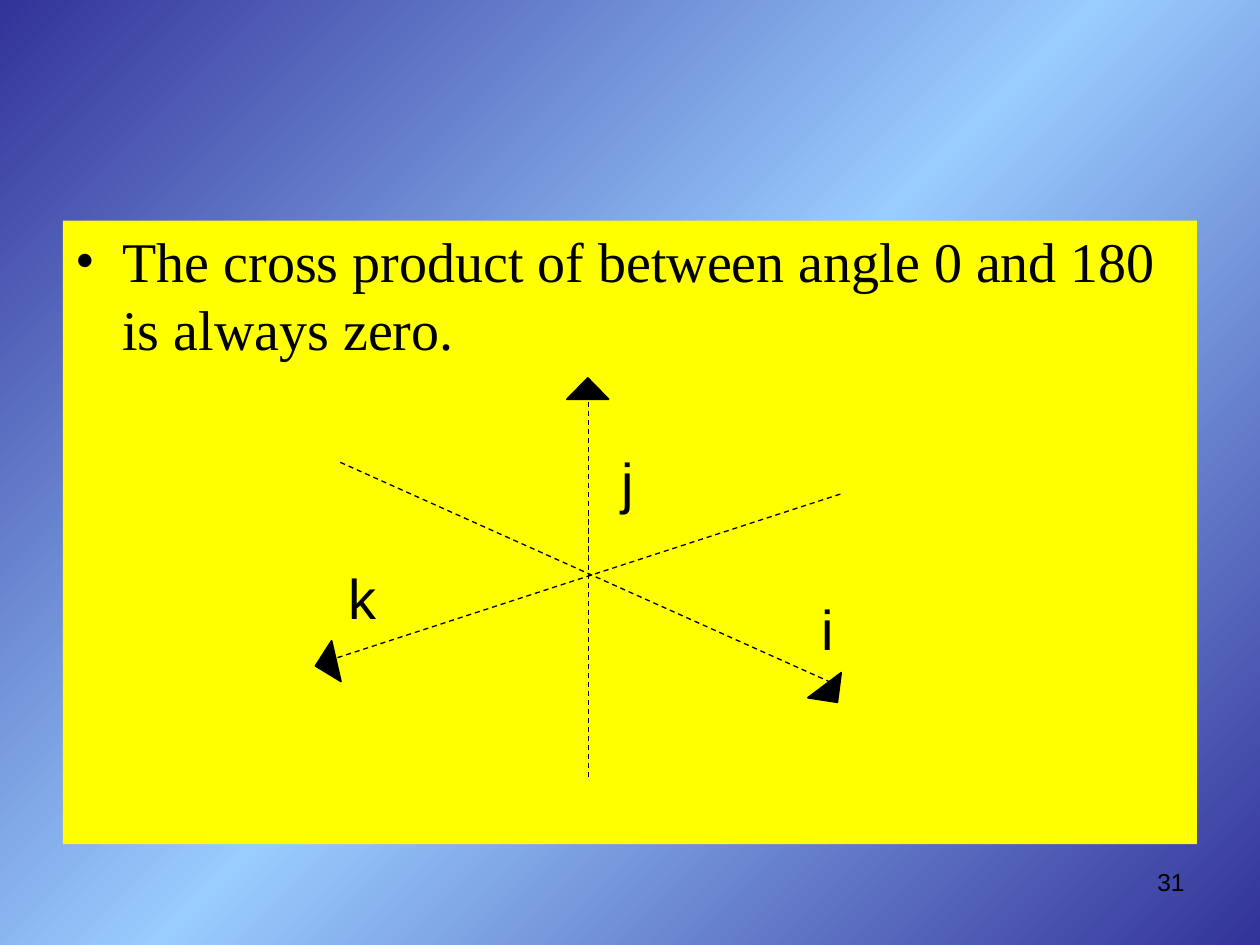
from copy import deepcopy
from pptx import Presentation
from pptx.dml.color import RGBColor
from pptx.enum.dml import MSO_LINE
from pptx.enum.shapes import MSO_CONNECTOR, MSO_SHAPE
from pptx.enum.text import MSO_ANCHOR, PP_ALIGN
from pptx.oxml.ns import qn
from pptx.util import Cm, Pt

COLORS = {"ink": "000000", "panel": "FFFF00", "edge": "333399", "glow": "99CCFF"}
STOPS = [(0, "edge"), (0.5, "glow"), (1, "edge")]
PANEL = (1.27, 4.45, 22.86, 12.57)
RULE = "The cross product of between angle 0 and 180 is always zero."
NUMBER = ("31", (18.21, 17.35, 5.92, 1.32))
HEAD = (0.84, 0.43)
LABEL = (1.48, 1.63)
AXES = [
    {"name": "j", "line": (11.86, 15.67, 11.86, 8.05),
     "head": (11.43, 7.62), "turn": 0, "label": (12.27, 8.89)},
    {"name": "k", "line": (16.94, 9.96, 6.55, 13.34),
     "head": (6.15, 13.16), "turn": 257, "label": (6.78, 11.23)},
    {"name": "i", "line": (6.86, 9.32, 16.94, 13.84),
     "head": (16.33, 13.77), "turn": 143, "label": (16.31, 11.86)},
]


def rgb(key):
    return RGBColor.from_string(COLORS[key])


def cms(nums):
    return [Cm(n) for n in nums]


def write(shape, text, size, face, align=PP_ALIGN.LEFT):
    frame = shape.text_frame
    frame.word_wrap = True
    frame.vertical_anchor = MSO_ANCHOR.TOP
    para = frame.paragraphs[0]
    para.text = text
    para.alignment = align
    para.font.size = Pt(size)
    para.font.name = face
    para.font.color.rgb = rgb("ink")
    return para


def solid(shapes, kind, box, key):
    shape = shapes.add_shape(kind, *cms(box))
    shape.shadow.inherit = False
    shape.fill.solid()
    shape.fill.fore_color.rgb = rgb(key)
    return shape


def paint(slide):
    fill = slide.background.fill
    fill.gradient()
    fill.gradient_angle = 315
    first = fill.gradient_stops[0]
    group = next(slide.element.iter(qn("a:gsLst")))
    group.append(deepcopy(group[0]))
    for stop, (place, key) in zip(fill.gradient_stops, STOPS):
        stop.position = place
        stop.color.rgb = rgb(key)


def bullet(para):
    props = para._p.get_or_add_pPr()
    props.set("marL", str(Cm(0.95)))
    props.set("indent", str(Cm(-0.95)))
    font = props.makeelement(qn("a:buFont"), {"typeface": "Times New Roman"})
    mark = props.makeelement(qn("a:buChar"), {"char": "•"})
    props.extend([font, mark])


def arrow(shapes, axis):
    line = shapes.add_connector(MSO_CONNECTOR.STRAIGHT, *cms(axis["line"]))
    props = line._element.spPr
    line.line.color.rgb = rgb("ink")
    line.line.width = Pt(0.75)
    line.line.dash_style = MSO_LINE.DASH
    props.append(props.makeelement(qn("a:effectLst"), {}))
    head = solid(shapes, MSO_SHAPE.ISOSCELES_TRIANGLE, axis["head"] + HEAD, "ink")
    head.line.color.rgb = rgb("ink")
    head.line.width = Pt(1)
    head.rotation = axis["turn"]


def main():
    deck = Presentation()
    deck.slide_width, deck.slide_height = Cm(25.4), Cm(19.05)
    slide = deck.slides.add_slide(deck.slide_layouts[6])
    shapes = slide.shapes
    paint(slide)
    panel = solid(shapes, MSO_SHAPE.RECTANGLE, PANEL, "panel")
    panel.line.fill.background()
    bullet(write(panel, RULE, 32, "Times New Roman"))
    text, box = NUMBER
    write(shapes.add_textbox(*cms(box)), text, 14, "Arial", PP_ALIGN.RIGHT)
    for axis in AXES:
        arrow(shapes, axis)
    for axis in AXES:
        label = shapes.add_textbox(*cms(axis["label"] + LABEL))
        write(label, axis["name"], 32, "Arial")
    deck.save("out.pptx")


if __name__ == "__main__":
    main()
